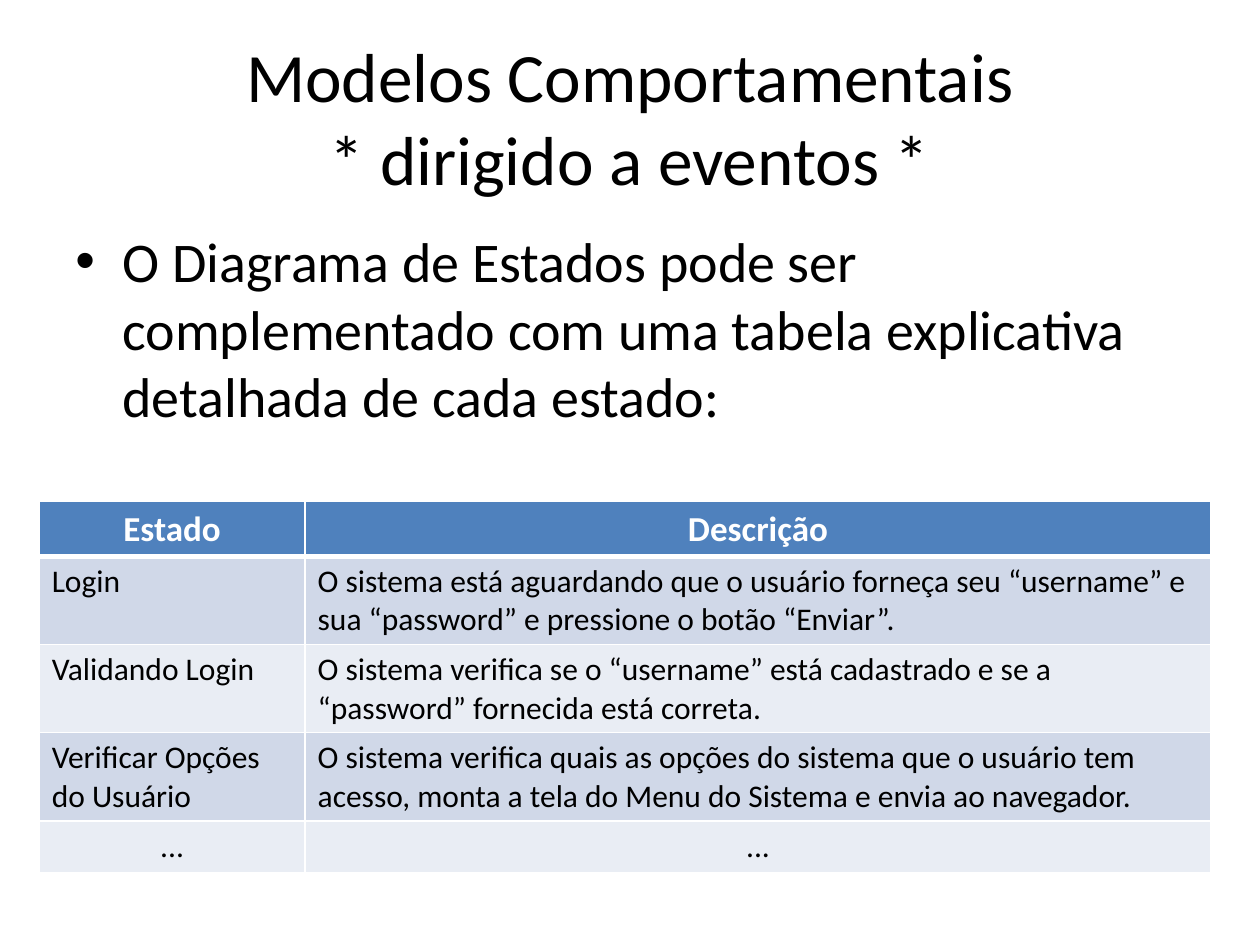
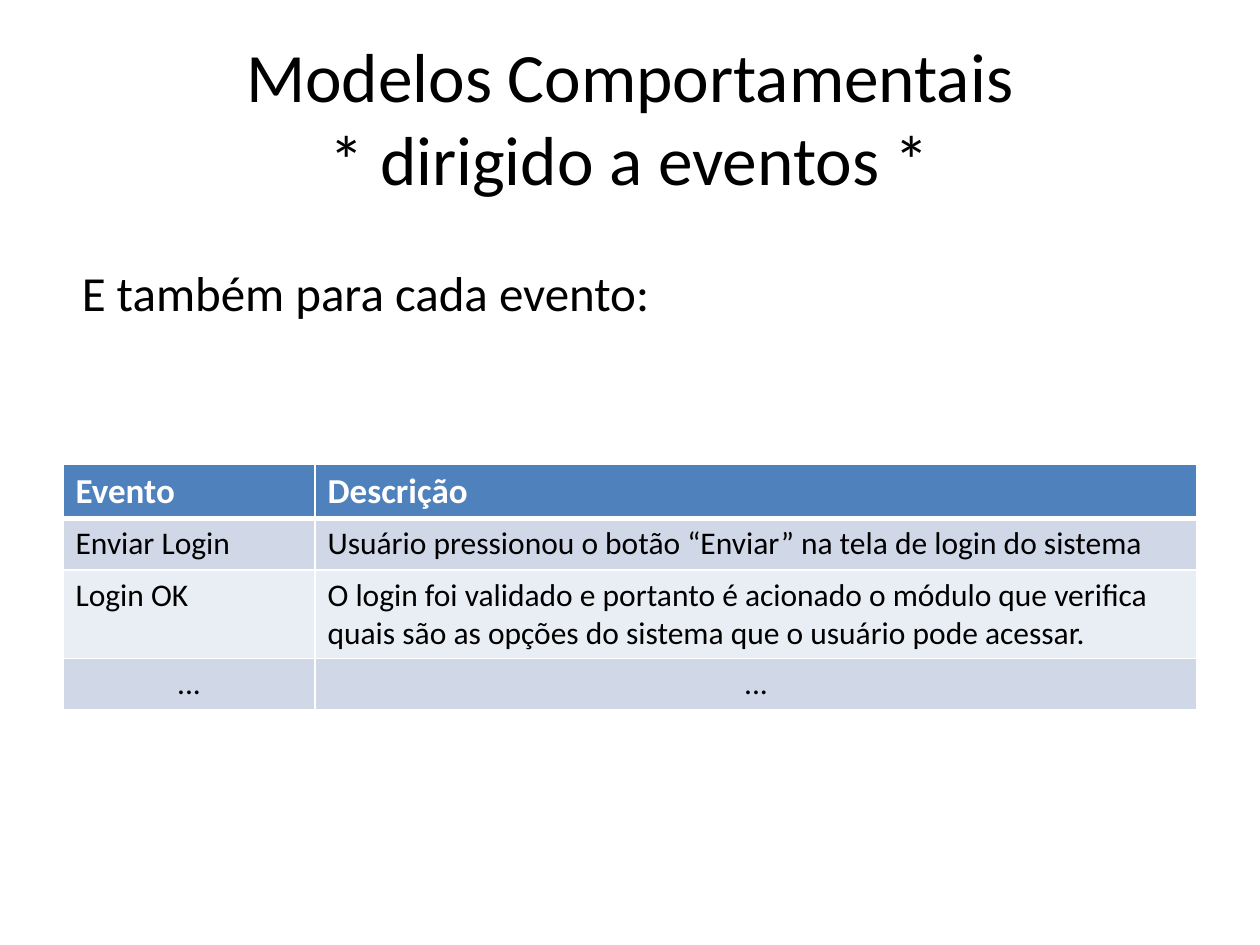
from lxml.etree import SubElement as Sub
from pptx import Presentation
from pptx.dml.color import RGBColor as Rgb
from pptx.enum.text import MSO_ANCHOR as Anchor, PP_ALIGN as Align
from pptx.oxml.ns import qn
from pptx.util import Cm, Pt

FONT = "Calibri"
BLACK, WHITE, HEAD = "000000", "FFFFFF", "4F81BD"
BANDS = ["D0D8E8", "E9EDF4"]
TITLE = "Modelos Comportamentais\v* dirigido a eventos *"
ROW = 1.04
MORE = ("...", "...")

PAGES = [
    {
        "lead": "O Diagrama de Estados pode ser complementado com uma tabela "
                "explicativa detalhada de cada estado:",
        "box": (1.27, 4.45, 22.86, 12.57), "size": 32, "bullet": True,
        "spot": (0.79, 10.11), "cols": (5.36, 18.26), "align": Align.CENTER,
        "rows": [
            ("Estado", "Descrição"),
            ("Login", "O sistema está aguardando que o usuário forneça seu "
                      "“username” e sua “password” e pressione o botão “Enviar”."),
            ("Validando Login", "O sistema verifica se o “username” está cadastrado "
                                "e se a “password” fornecida está correta."),
            ("Verificar Opções do Usuário",
             "O sistema verifica quais as opções do sistema que o usuário tem "
             "acesso, monta a tela do Menu do Sistema e envia ao navegador."),
            MORE,
        ],
    },
    {
        "lead": "E também para cada evento:",
        "box": (1.4, 5.16, 21.23, 1.45), "size": 28, "bullet": False,
        "spot": (1.27, 9.35), "cols": (5.08, 17.78), "align": Align.LEFT,
        "rows": [
            ("Evento", "Descrição"),
            ("Enviar Login",
             "Usuário pressionou o botão “Enviar” na tela de login do sistema"),
            ("Login OK",
             "O login foi validado e portanto é acionado o módulo que verifica "
             "quais são as opções do sistema que o usuário pode acessar."),
            MORE,
        ],
    },
]


def tint(hue):
    return Rgb.from_string(hue)


def write(frame, text, size, hue=BLACK, align=Align.LEFT, bold=False):
    para = frame.paragraphs[0]
    para.text = text
    para.alignment = align
    font = para.font
    font.name, font.size, font.bold = FONT, Pt(size), bold
    font.color.rgb = tint(hue)
    return para


def add_text(slide, box, text, size, align=Align.LEFT, anchor=Anchor.TOP):
    frame = slide.shapes.add_textbox(*map(Cm, box)).text_frame
    frame.word_wrap = True
    frame.vertical_anchor = anchor
    return write(frame, text, size, align=align)


def add_bullet(para):
    props = para._p.get_or_add_pPr()
    props.set("marL", str(Cm(0.95)))
    props.set("indent", str(-Cm(0.95)))
    Sub(props, qn("a:buFont"), typeface="Arial")
    Sub(props, qn("a:buChar"), char="•")


def add_edges(cell, row):
    props = cell._tc.get_or_add_tcPr()
    wide = {"T": 3 if row == 1 else 1, "B": 3 if row == 0 else 1}
    for side in "LRTB":
        line = Sub(props, qn("a:ln" + side), w=str(Pt(wide.get(side, 1))))
        Sub(Sub(line, qn("a:solidFill")), qn("a:srgbClr"), val=WHITE)


def add_grid(slide, spot, cols, rows, align):
    size = sum(cols), ROW * len(rows)
    table = slide.shapes.add_table(len(rows), len(cols), *map(Cm, spot + size)).table
    for col, width in zip(table.columns, cols):
        col.width = Cm(width)
    for r, row in enumerate(rows):
        table.rows[r].height = Cm(ROW)
        for c, text in enumerate(row):
            cell = table.cell(r, c)
            add_edges(cell, r)
            cell.fill.solid()
            cell.fill.fore_color.rgb = tint(BANDS[(r - 1) % 2] if r else HEAD)
            if r == 0:
                write(cell.text_frame, text, 20, WHITE, align, True)
            else:
                side = Align.CENTER if row == MORE else Align.LEFT
                write(cell.text_frame, text, 18, align=side)


deck = Presentation()
deck.slide_width, deck.slide_height = Cm(25.4), Cm(19.05)
for page in PAGES:
    slide = deck.slides.add_slide(deck.slide_layouts[6])
    add_text(slide, (1.27, 0.76, 22.86, 3.18), TITLE, 39.6, Align.CENTER, Anchor.MIDDLE)
    lead = add_text(slide, page["box"], page["lead"], page["size"])
    if page["bullet"]:
        add_bullet(lead)
    add_grid(slide, page["spot"], page["cols"], page["rows"], page["align"])
deck.save("out.pptx")
